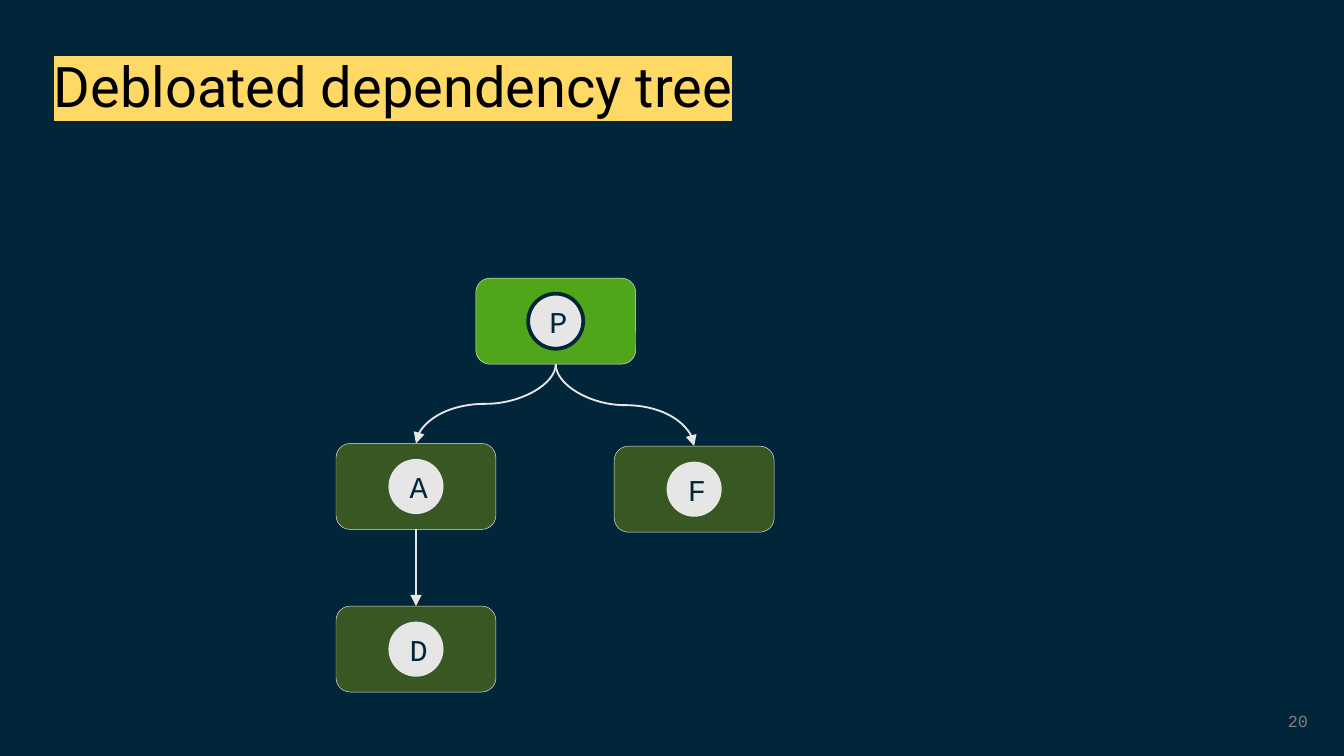
from dataclasses import dataclass
from typing import Any

import lxml.etree
import pptx
import pptx.dml.color
import pptx.enum.shapes
import pptx.enum.text
import pptx.oxml.ns
import pptx.util

Inches = pptx.util.Inches
Pt = pptx.util.Pt
qn = pptx.oxml.ns.qn
Shapes = pptx.enum.shapes.MSO_SHAPE
Connectors = pptx.enum.shapes.MSO_CONNECTOR
Align = pptx.enum.text.PP_ALIGN
Anchor = pptx.enum.text.MSO_ANCHOR


@dataclass(frozen=True)
class Theme:
    background: str = "012639"
    root: str = "50A61B"
    dependency: str = "385723"
    light: str = "E7E6E6"
    highlight: str = "FFD966"
    title: str = "000000"
    number: str = "847F7F"
    title_font: str = "Roboto"
    code_font: str = "Courier New"
    title_size: float = 30
    label_size: float = 16.2
    number_size: float = 9
    box_line: float = 0.25
    edge_line: float = 1
    root_ring: float = 2


@dataclass(frozen=True)
class Node:
    label: str
    left: float
    top: float
    is_root: bool = False


@dataclass(frozen=True)
class Edge:
    parent: str
    child: str


THEME = Theme()
SLIDE_WIDTH = Inches(10)
SLIDE_HEIGHT = SLIDE_WIDTH * 9 // 16
BOX_WIDTH, BOX_HEIGHT, CIRCLE = 1.19, 0.64, 0.41
BOTTOM, TOP = 2, 0
NODES = [
    Node("P", 3.54, 2.07, is_root=True),
    Node("A", 2.5, 3.3),
    Node("F", 4.57, 3.32),
    Node("D", 2.5, 4.51),
]
EDGES = [Edge("P", "A"), Edge("P", "F"), Edge("A", "D")]


def rgb(value: str) -> pptx.dml.color.RGBColor:
    return pptx.dml.color.RGBColor.from_string(value)


def set_attributes(target: Any, values: dict[str, Any]) -> None:
    for name, value in values.items():
        setattr(target, name, value)


def write_text(shape: Any, text: str, font: str, size: float, color: str,
               align: Any, anchor: Any) -> Any:
    frame = shape.text_frame
    set_attributes(frame, {
        "word_wrap": True, "vertical_anchor": anchor,
        "auto_size": pptx.enum.text.MSO_AUTO_SIZE.NONE,
        "margin_left": Inches(0.1), "margin_right": Inches(0.1),
        "margin_top": Inches(0.05), "margin_bottom": Inches(0.05),
    })
    paragraph = frame.paragraphs[0]
    paragraph.alignment = align
    run = paragraph.add_run()
    run.text = text
    set_attributes(run.font, {"name": font, "size": Pt(size)})
    run.font.color.rgb = rgb(color)
    return paragraph


def add_title(slide: Any, text: str) -> None:
    title = slide.shapes.title
    set_attributes(title, {"left": Inches(0.3), "top": Inches(0.39),
                           "width": Inches(7.31), "height": Inches(0.54)})
    paragraph = write_text(title, text, THEME.title_font, THEME.title_size,
                           THEME.title, Align.LEFT, Anchor.TOP)
    paragraph.line_spacing = 0.9
    highlight = lxml.etree.Element(qn("a:highlight"))
    lxml.etree.SubElement(highlight, qn("a:srgbClr"), val=THEME.highlight)
    properties = paragraph.runs[0].font._element
    properties.find(qn("a:solidFill")).addnext(highlight)


def add_filled_shape(slide: Any, kind: Any, left: float, top: float,
                     width: float, height: float, fill: str) -> Any:
    shape = slide.shapes.add_shape(
        kind, Inches(left), Inches(top), Inches(width), Inches(height))
    shape.shadow.inherit = False
    shape.fill.solid()
    shape.fill.fore_color.rgb = rgb(fill)
    return shape


def add_box(slide: Any, node: Node) -> Any:
    fill = THEME.root if node.is_root else THEME.dependency
    box = add_filled_shape(slide, Shapes.ROUNDED_RECTANGLE, node.left, node.top,
                           BOX_WIDTH, BOX_HEIGHT, fill)
    box.line.color.rgb = rgb(THEME.light)
    box.line.width = Pt(THEME.box_line)
    return box


def add_circle(slide: Any, node: Node) -> None:
    circle = add_filled_shape(
        slide, Shapes.OVAL, node.left + (BOX_WIDTH - CIRCLE) / 2,
        node.top + (BOX_HEIGHT - CIRCLE) / 2, CIRCLE, CIRCLE, THEME.light)
    if node.is_root:
        circle.line.color.rgb = rgb(THEME.background)
        circle.line.width = Pt(THEME.root_ring)
    else:
        circle.line.fill.background()
    write_text(circle, node.label, THEME.code_font, THEME.label_size,
               THEME.background, Align.CENTER, Anchor.MIDDLE)


def turn_downward(connector: Any) -> None:
    """Rotate a curve's frame so that it leaves and arrives vertically."""
    across = connector.end_x - connector.begin_x
    down = connector.end_y - connector.begin_y
    center_x = (connector.begin_x + connector.end_x) // 2
    center_y = (connector.begin_y + connector.end_y) // 2
    frame = connector._element.spPr.find(qn("a:xfrm"))
    for flip in ("flipH", "flipV"):
        frame.attrib.pop(flip, None)
    frame.set("rot", str((90 if across < 0 else 270) * 60000))
    if across > 0:
        frame.set("flipH", "1")
    set_attributes(connector, {
        "left": center_x - down // 2, "top": center_y - abs(across) // 2,
        "width": down, "height": abs(across)})


def add_edge(slide: Any, parent: Any, child: Any) -> None:
    straight = parent.left == child.left
    kind = Connectors.STRAIGHT if straight else Connectors.CURVE
    connector = slide.shapes.add_connector(kind, 0, 0, 0, 0)
    connector.begin_connect(parent, BOTTOM)
    connector.end_connect(child, TOP)
    if not straight:
        turn_downward(connector)
    connector.line.color.rgb = rgb(THEME.light)
    connector.line.width = Pt(THEME.edge_line)
    line = connector.line._get_or_add_ln()
    lxml.etree.SubElement(line, qn("a:tailEnd"), type="triangle")
    lxml.etree.SubElement(connector._element.spPr, qn("a:effectLst"))


def main() -> None:
    presentation = pptx.Presentation()
    set_attributes(presentation, {"slide_width": SLIDE_WIDTH,
                                  "slide_height": SLIDE_HEIGHT})
    slide = presentation.slides.add_slide(presentation.slide_layouts[5])
    slide.background.fill.solid()
    slide.background.fill.fore_color.rgb = rgb(THEME.background)

    add_title(slide, "Debloated dependency tree")
    boxes = {node.label: add_box(slide, node) for node in NODES}
    for edge in EDGES:
        add_edge(slide, boxes[edge.parent], boxes[edge.child])
    for node in NODES:
        add_circle(slide, node)

    number = slide.shapes.add_textbox(
        Inches(7.58), Inches(5.21), Inches(2.25), Inches(0.3))
    write_text(number, "20", THEME.code_font, THEME.number_size, THEME.number,
               Align.RIGHT, Anchor.MIDDLE)
    presentation.save("out.pptx")


if __name__ == "__main__":
    main()
